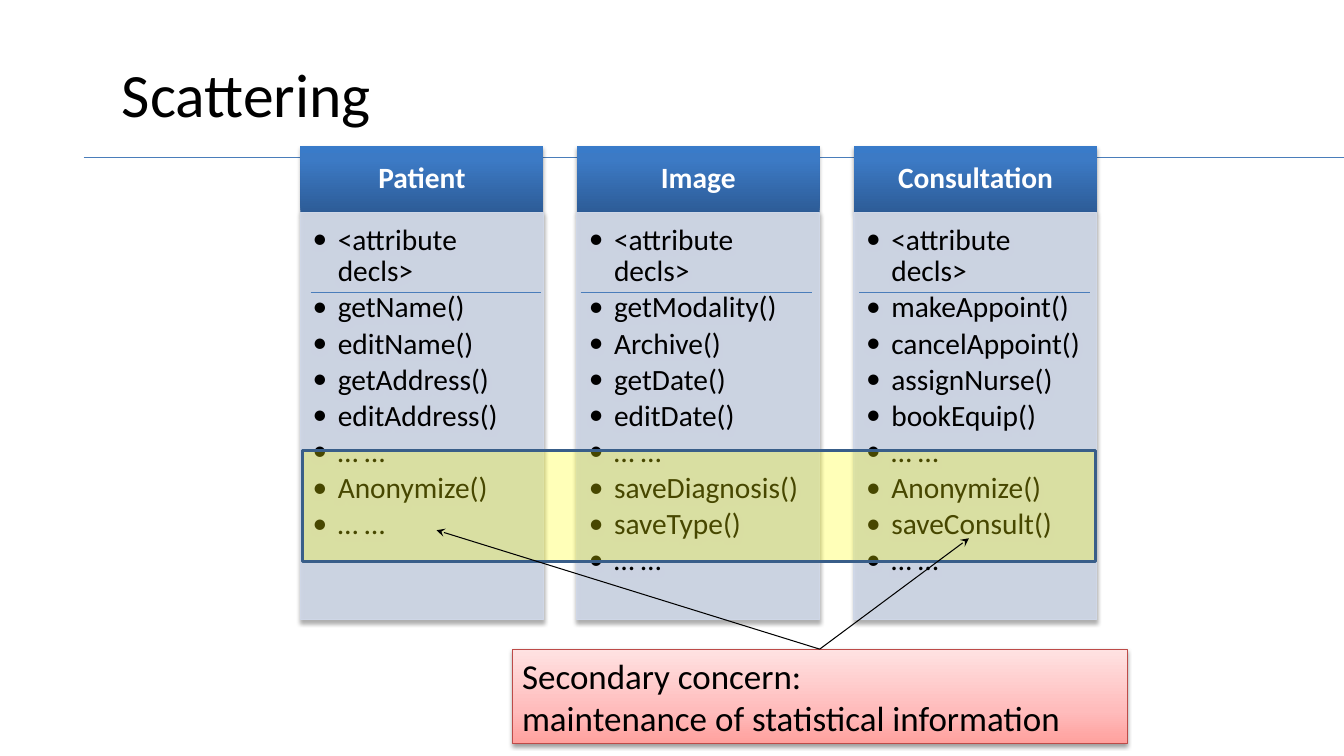
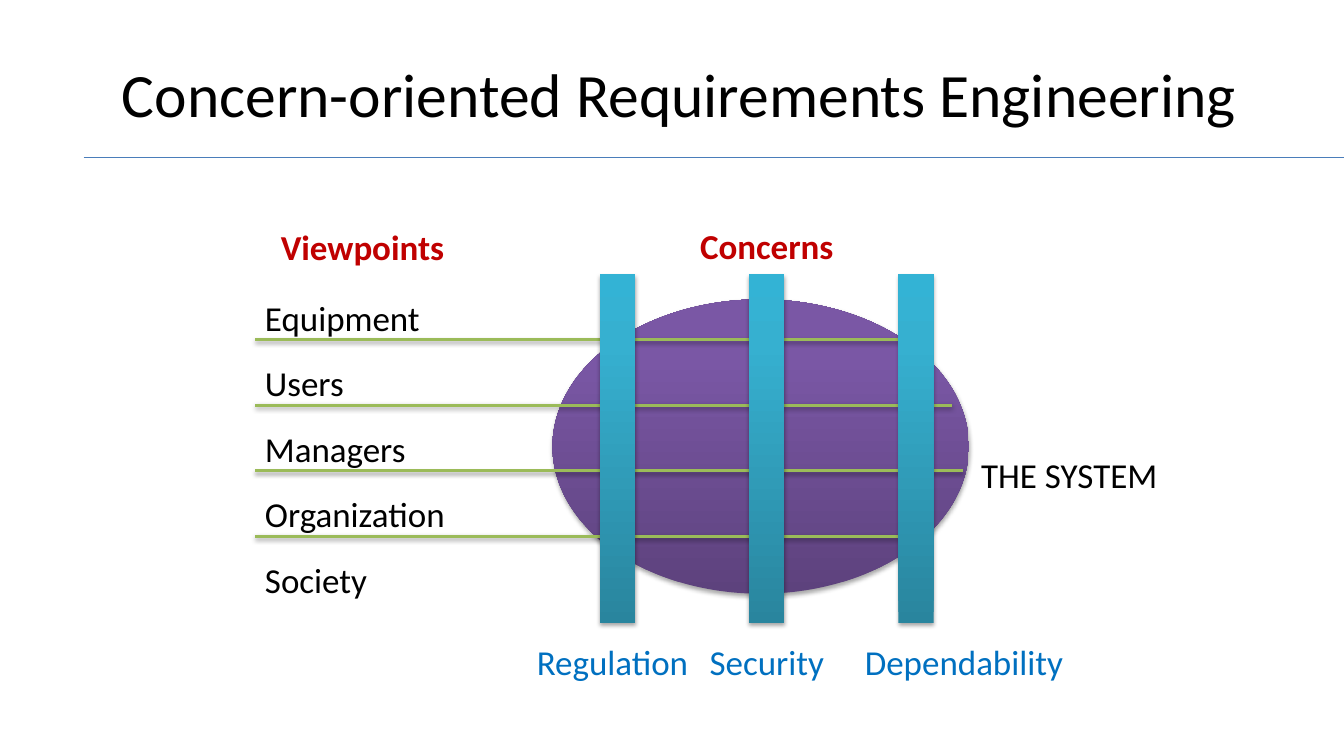
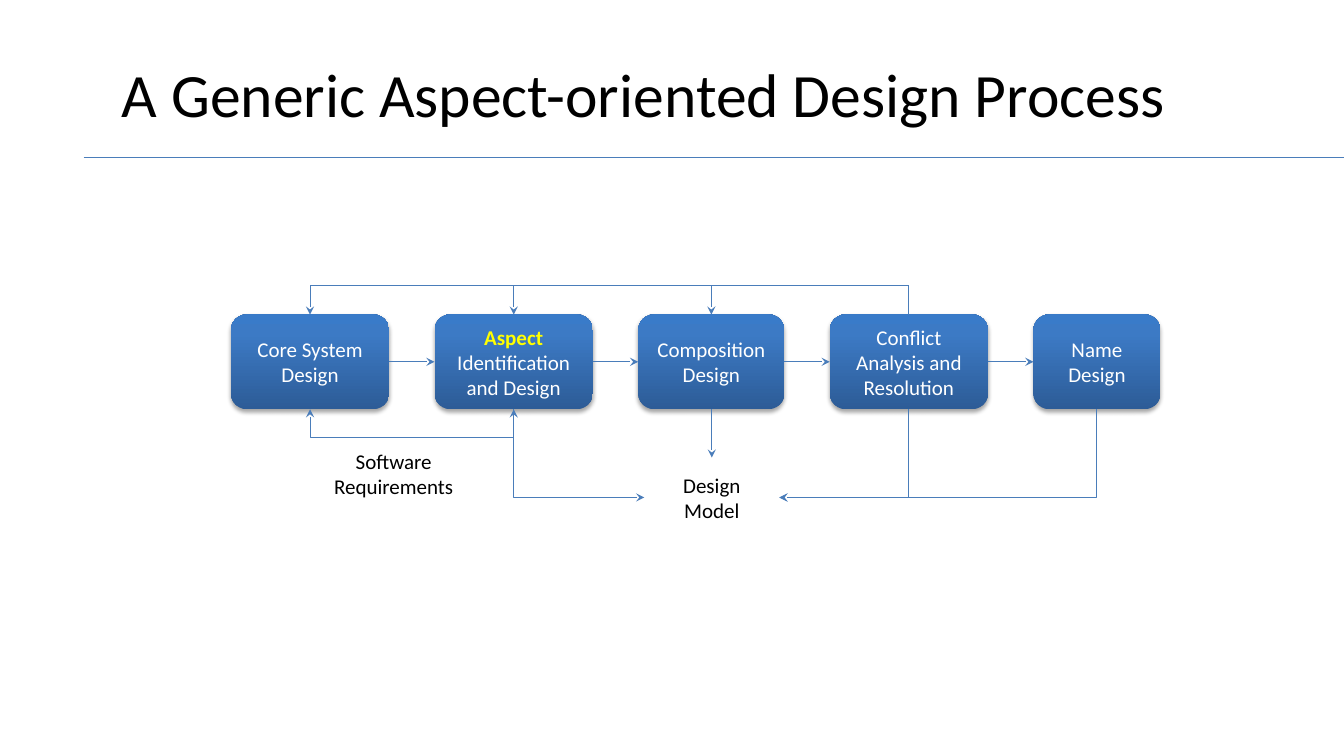
from lxml.etree import SubElement
from pptx import Presentation
from pptx.dml.color import RGBColor
from pptx.enum.shapes import MSO_CONNECTOR, MSO_SHAPE
from pptx.enum.text import MSO_ANCHOR, PP_ALIGN
from pptx.oxml import parse_xml
from pptx.oxml.ns import nsdecls, qn
from pptx.util import Pt

PX = 9144  # 100 px to the inch

# Colours, type sizes and effects
THEME = {
    "font": "Calibri",
    "rule": "4A7DBA",
    "panel": "CFD7E7",
    "highlight": "FFFF00",
    "highlight_edge": "395E89",
    "callout_edge": "BD4B48",
    "viewpoint": "9BBB59",
    "ink": "000000",
    "blue": [(0, "2D5C97"), (80, "3C7AC5"), (100, "397BC9")],
    "purple": [(0, "5D427D"), (80, "7A57A5"), (100, "7A56A7")],
    "teal": [(0, "29859E"), (80, "36B0D0"), (100, "33B3D5")],
    "pink": [(0, "FFA09D"), (35, "FFBCBC"), (100, "FFE2E2")],
    "text": {
        "title": ("000000", {"size": Pt(44), "bold": False}),
        "header": ("FFFFFF", {"size": Pt(21), "bold": True}),
        "member": ("000000", {"size": Pt(21), "bold": False}),
        "label": ("000000", {"size": Pt(25), "bold": False}),
        "concern": ("0070C0", {"size": Pt(25), "bold": False}),
        "heading": ("C00000", {"size": Pt(25), "bold": True}),
        "step": ("FFFFFF", {"size": Pt(15), "bold": False}),
        "aspect": ("FFFF00", {"size": Pt(15), "bold": True}),
        "artifact": ("000000", {"size": Pt(15), "bold": False}),
    },
    # opacity in percent, blur and distance in points
    "shadow": {"shape": (35, 3.1, 1.8), "line": (38, 3.1, 1.6)},
}
CENTER = {"alignment": PP_ALIGN.CENTER}
EFFECTS = {None: f'<a:effectLst {nsdecls("a")}/>'}
for effect_name, (opacity, blur, distance) in THEME["shadow"].items():
    EFFECTS[effect_name] = (
        f'<a:effectLst {nsdecls("a")}><a:outerShdw blurRad="{Pt(blur)}" dist="{Pt(distance)}" '
        f'dir="5400000" rotWithShape="0"><a:srgbClr val="000000">'
        f'<a:alpha val="{opacity * 1000}"/></a:srgbClr></a:outerShdw></a:effectLst>')


def add_box(slide, place, paragraphs=(), kind=MSO_SHAPE.RECTANGLE, fill=None, opacity=100,
            edge=None, edge_width=0.75, shadow=None, margins=(10, 5, 10, 5),
            anchor=MSO_ANCHOR.TOP, layout=None, bullets=False):
    """Add a shape or text box; each paragraph is a list of (text, style name) runs."""
    place = [length * PX for length in place]
    is_shape = fill is not None
    shape = slide.shapes.add_shape(kind, *place) if is_shape else slide.shapes.add_textbox(*place)
    properties = shape._element.spPr
    if isinstance(fill, list):
        shape.fill.gradient()
        shape.fill.gradient_angle = 90
        stops = properties.find(qn("a:gradFill")).find(qn("a:gsLst"))
        stops[:] = []
        for position, color in fill:
            stop = SubElement(stops, qn("a:gs"), pos=str(position * 1000))
            SubElement(stop, qn("a:srgbClr"), val=color)
    elif is_shape:
        shape.fill.solid()
        shape.fill.fore_color.rgb = RGBColor.from_string(fill)
        color_element = properties.find(qn("a:solidFill"))[0]
        SubElement(color_element, qn("a:alpha"), val=str(opacity * 1000))
    if edge:
        shape.line.color.rgb = RGBColor.from_string(edge)
        shape.line.width = Pt(edge_width)
    else:
        shape.line.fill.background()
    properties.append(parse_xml(EFFECTS[shadow]))

    frame = shape.text_frame
    frame_format = {"word_wrap": True, "vertical_anchor": anchor}
    for side, margin in zip(("left", "top", "right", "bottom"), margins):
        frame_format[f"margin_{side}"] = margin * PX
    for name, value in frame_format.items():
        setattr(frame, name, value)
    for index, runs in enumerate(paragraphs):
        paragraph = frame.add_paragraph() if index else frame.paragraphs[0]
        for name, value in ({"alignment": PP_ALIGN.LEFT} | (layout or {})).items():
            setattr(paragraph, name, value)
        if bullets:
            if index:
                paragraph.space_before = Pt(3.1)
            paragraph_properties = paragraph._p.get_or_add_pPr()
            paragraph_properties.set("marL", str(25 * PX))
            paragraph_properties.set("indent", str(-25 * PX))
            bullet_color = SubElement(paragraph_properties, qn("a:buClr"))
            SubElement(bullet_color, qn("a:srgbClr"), val=THEME["ink"])
            SubElement(paragraph_properties, qn("a:buFont"), typeface=THEME["font"])
            SubElement(paragraph_properties, qn("a:buChar"), char="•")
        for text, style in runs:
            run = paragraph.add_run()
            run.text = text
            color, font_format = THEME["text"][style]
            for name, value in ({"name": THEME["font"]} | font_format).items():
                setattr(run.font, name, value)
            run.font.color.rgb = RGBColor.from_string(color)
    return shape


def add_line(slide, start, end, color=THEME["rule"], width=0.75, arrows=(), shadow=None,
             kind=MSO_CONNECTOR.STRAIGHT):
    """Add a connector; arrows names the ends (head, tail) that get an arrowhead."""
    connector = slide.shapes.add_connector(kind, *[length * PX for length in start + end])
    connector.line.color.rgb = RGBColor.from_string(color)
    connector.line.width = Pt(width)
    properties = connector._element.spPr
    for arrow in arrows:
        SubElement(properties.find(qn("a:ln")), qn(f"a:{arrow}End"), type="stealth")
    properties.append(parse_xml(EFFECTS[shadow]))
    return connector


presentation = Presentation()
presentation.slide_width = 1333 * PX
presentation.slide_height = 750 * PX

# Title and rule on every slide
slides = []
for title in ("Scattering", "Concern-oriented Requirements Engineering",
              "A Generic Aspect-oriented Design Process"):
    slide = presentation.slides.add_slide(presentation.slide_layouts[6])
    add_line(slide, (83, 156), (1333, 156))
    add_box(slide, (111, 30, 1178, 125), [[(title, "title")]], anchor=MSO_ANCHOR.MIDDLE)
    slides.append(slide)
scattering, concerns, process = slides

# Scattering: class columns
classes = {
    "Patient": ["getName()", "editName()", "getAddress()", "editAddress()", "… …",
                "Anonymize()", "… …"],
    "Image": ["getModality()", "Archive()", "getDate()", "editDate()", "… …",
              "saveDiagnosis()", "saveType()", "… …"],
    "Consultation": ["makeAppoint()", "cancelAppoint()", "assignNurse()", "bookEquip()", "… …",
                     "Anonymize()", "saveConsult()", "… …"],
}
for column, (class_name, methods) in enumerate(classes.items()):
    left = 298 + column * 549 // 2
    add_box(scattering, (left, 145, 241, 66), [[(class_name, "header")]], fill=THEME["blue"],
            shadow="shape", margins=(16, 9, 16, 9), anchor=MSO_ANCHOR.MIDDLE,
            layout=CENTER | {"line_spacing": 0.9})
    add_box(scattering, (left, 211, 241, 404),
            [[(member, "member")] for member in ["<attribute decls>"] + methods],
            fill=THEME["panel"], opacity=90, edge=THEME["panel"], shadow="shape",
            margins=(12, 12, 16, 18), layout={"line_spacing": 0.9}, bullets=True)
for left in (308, 576, 852):
    add_line(scattering, (left, 290), (left + 229, 290))

# Scattering: highlighted methods and callout
add_box(scattering, (300, 447, 787, 110), fill=THEME["highlight"], opacity=28,
        edge=THEME["highlight_edge"], edge_width=2)
add_box(scattering, (508, 644, 610, 94),
        [[("Secondary concern:", "label")],
         [("maintenance of statistical information", "label")]],
        fill=THEME["pink"], edge=THEME["callout_edge"], shadow="line")
for target in ((961, 534), (433, 526)):
    add_line(scattering, (813, 644), target, color=THEME["ink"], arrows=("tail",))

# Concerns: the system, crossed by viewpoints and concerns
add_box(concerns, (548, 297, 413, 292), kind=MSO_SHAPE.OVAL, fill=THEME["purple"],
        shadow="shape")
for row, right in enumerate((891, 944, 955, 891)):
    top = 337 + 65 * row
    add_line(concerns, (253, top), (right, top), color=THEME["viewpoint"], width=2,
             shadow="line")
for column in range(3):
    add_box(concerns, (595 + 148 * column, 272, 35, 346), fill=THEME["teal"], shadow="shape")

# Concerns: labels
for row, viewpoint in enumerate(("Equipment", "Users", "Managers", "Organization", "Society")):
    add_box(concerns, (253, 289 + 65 * row, 260, 52), [[(viewpoint, "label")]])
for text, style, left, top, width in (
        ("Regulation", "concern", 501, 631, 213),
        ("Security", "concern", 654, 630, 213),
        ("Dependability", "concern", 820, 630, 272),
        ("THE SYSTEM", "label", 954, 445, 213),
        ("Concerns", "heading", 654, 218, 213),
        ("Viewpoints", "heading", 253, 219, 213)):
    add_box(concerns, (left, top, width, 52), [[(text, style)]], layout=CENTER)

# Process: steps in a row, with arrows between neighbours
STEP_TOP, STEP_BOTTOM, STEP_MIDDLE, STEP_GAP = 312, 406, 359, 45
step_texts = [
    (157, [("Core System Design", "step")]),
    (157, [("Aspect ", "aspect"), ("Identification and Design", "step")]),
    (145, [("Composition Design", "step")]),
    (157, [("Conflict Analysis and Resolution", "step")]),
    (126, [("Name Design", "step")]),
]
left = 229
steps = []
for index, (width, runs) in enumerate(step_texts):
    steps.append(add_box(
        process, (left, STEP_TOP, width, STEP_BOTTOM - STEP_TOP), [runs],
        kind=MSO_SHAPE.ROUNDED_RECTANGLE, fill=THEME["blue"], shadow="shape",
        anchor=MSO_ANCHOR.MIDDLE, layout=CENTER))
    if index:
        add_line(process, (left - STEP_GAP, STEP_MIDDLE), (left, STEP_MIDDLE), arrows=("tail",))
    left += width + STEP_GAP
core, aspect, composition, conflict, naming = steps

# Process: artifacts below the steps
model, requirements = [
    add_box(process, (left, top, width, 79), [[(text, "artifact")]],
            anchor=MSO_ANCHOR.MIDDLE, layout=CENTER)
    for text, left, top, width in (("Design Model", 639, 454, 134),
                                   ("Software Requirements", 308, 430, 165))]
add_line(process, (706, STEP_BOTTOM), (706, 454), arrows=("tail",))

# Process: elbow connectors, glued to connection sites; detour is the loop's depth, down positive
TOP, LEFT, BOTTOM, RIGHT = range(4)
THIN = PX // 10  # a loop between level ends still needs some extent
for source, source_site, target, target_site, detour, arrows in (
        (conflict, TOP, core, TOP, -24, ("tail",)),
        (conflict, TOP, aspect, TOP, -24, ("tail",)),
        (conflict, TOP, composition, TOP, -24, ("tail",)),
        (core, BOTTOM, aspect, BOTTOM, 24, ("head", "tail")),
        (aspect, BOTTOM, model, LEFT, None, ("tail",)),
        (conflict, BOTTOM, model, RIGHT, None, ("tail",)),
        (naming, BOTTOM, model, RIGHT, None, ("tail",))):
    elbow = add_line(process, (0, 0), (1, 1), arrows=arrows, kind=MSO_CONNECTOR.ELBOW)
    elbow.begin_connect(source, source_site)
    elbow.end_connect(target, target_site)
    start_x, start_y, end_x, end_y = elbow.begin_x, elbow.begin_y, elbow.end_x, elbow.end_y
    drop = max(end_y - start_y, THIN)
    span = abs(end_x - start_x)
    # The frame is turned a quarter, so its width runs down the slide
    turned_frame = {"left": (start_x + end_x - drop) // 2, "top": start_y + (drop - span) // 2,
                    "width": drop, "height": span}
    for name, value in turned_frame.items():
        setattr(elbow, name, value)
    rightward = end_x > start_x
    transform = elbow._element.spPr.find(qn("a:xfrm"))
    for name, value in {"rot": "16200000" if rightward else "5400000",
                        "flipH": "1" if rightward else "0", "flipV": "0"}.items():
        transform.set(name, value)
    geometry = elbow._element.spPr.find(qn("a:prstGeom"))
    if detour is None:
        geometry.set("prst", "bentConnector2")
    else:
        SubElement(geometry.find(qn("a:avLst")), qn("a:gd"), name="adj1",
                   fmla=f"val {detour * PX * 100000 // drop}")

presentation.save("out.pptx")
